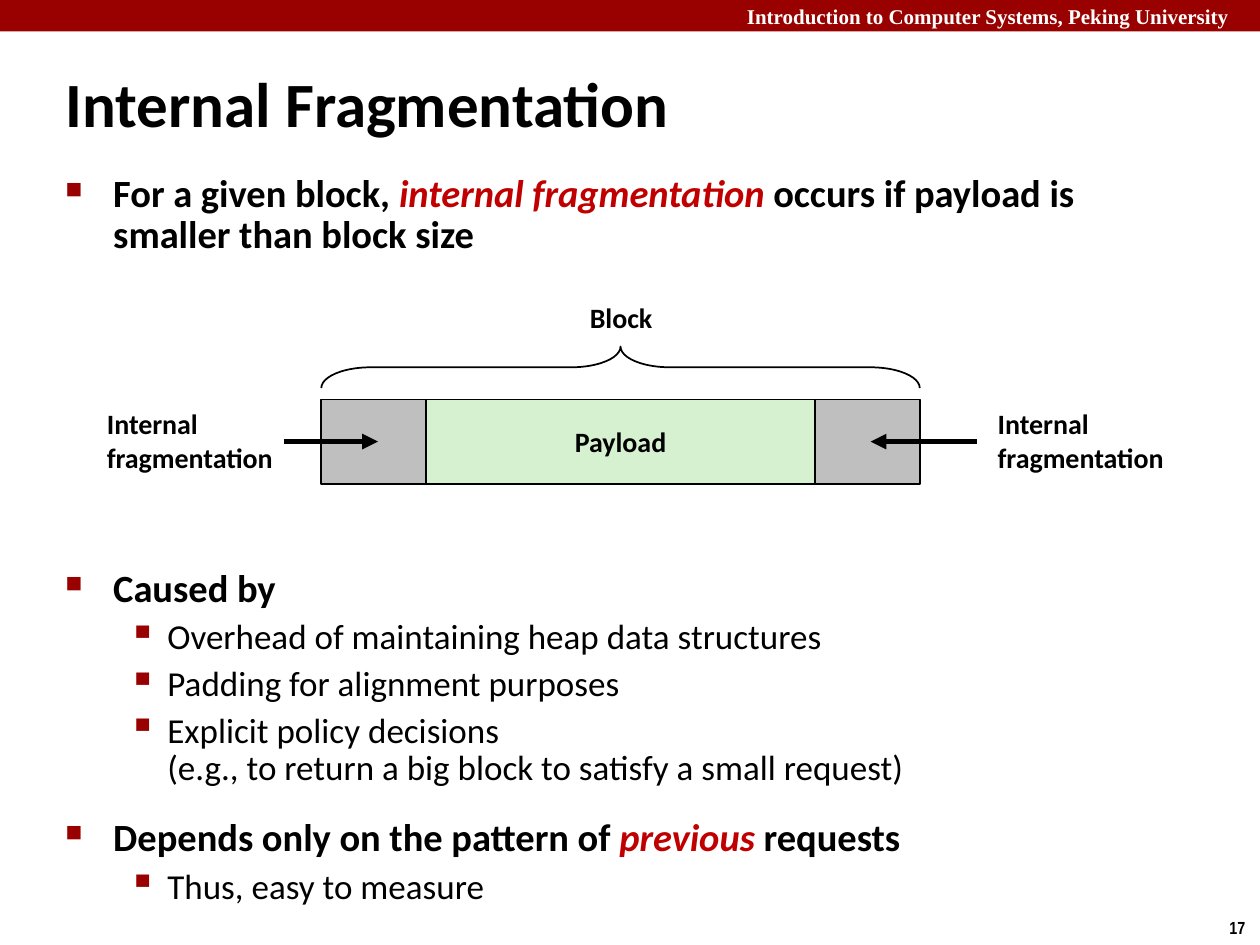
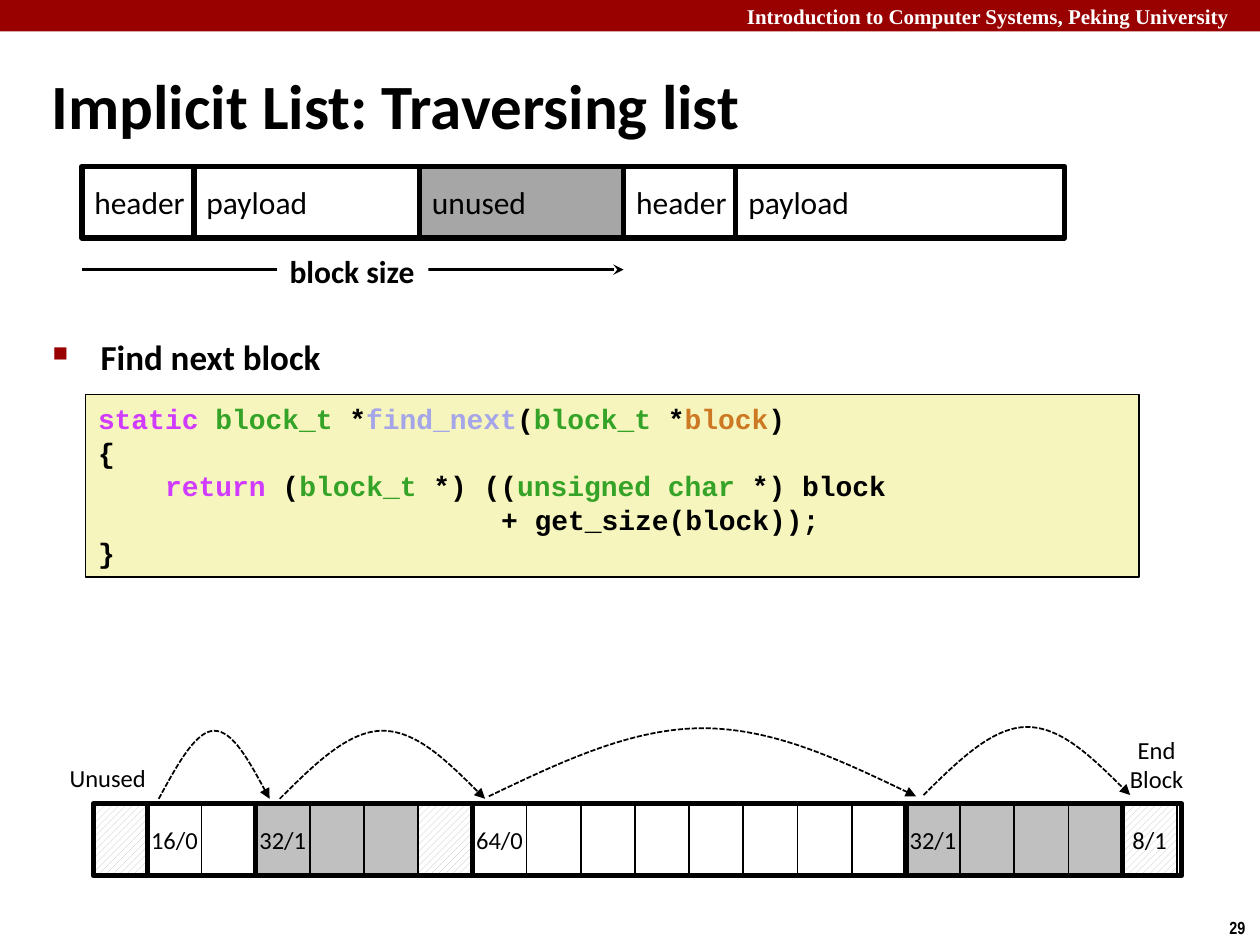
from dataclasses import dataclass

from lxml import etree
from pptx import Presentation
from pptx.dml.color import RGBColor
from pptx.enum.dml import MSO_LINE, MSO_PATTERN
from pptx.enum.shapes import MSO_CONNECTOR, MSO_SHAPE
from pptx.enum.text import MSO_ANCHOR, MSO_AUTO_SIZE, PP_ALIGN
from pptx.oxml.ns import qn
from pptx.util import Inches, Pt

LEFT, CENTER = PP_ALIGN.LEFT, PP_ALIGN.CENTER
TOP, MIDDLE = MSO_ANCHOR.TOP, MSO_ANCHOR.MIDDLE
RECTANGLE, BRACE = MSO_SHAPE.RECTANGLE, MSO_SHAPE.RIGHT_BRACE
STRAIGHT = MSO_CONNECTOR.STRAIGHT
HATCH = MSO_PATTERN.WIDE_UPWARD_DIAGONAL
SHORT_DASH = MSO_LINE.SQUARE_DOT

# The slide is a grid of 100 columns and 75 rows.
COLUMNS, ROWS = 100, 75
UNIT = Inches(0.1)


@dataclass(frozen=True)
class Theme:
    body_font: str = "Calibri"
    code_font: str = "Courier New"
    band_font: str = "Times New Roman"
    number_font: str = "Arial Narrow"
    title: int = 36
    point: int = 22
    subpoint: int = 20
    field: int = 18
    label: int = 16
    cell: int = 14
    band: int = 12
    number: int = 10
    black: str = "000000"
    white: str = "FFFFFF"
    red: str = "990000"
    emphasis: str = "C00000"
    payload: str = "D5F1CF"
    padding: str = "BFBFBF"
    unused: str = "A6A6A6"
    allocated: str = "C0C0C0"
    code_paper: str = "F6F5BD"
    keyword: str = "D03BFF"
    type_name: str = "34A327"
    function: str = "A5A5E9"
    parameter: str = "CD7923"


THEME = Theme()


def grid(*lengths):
    return [round(length * UNIT) for length in lengths]


def rgb(code):
    return RGBColor.from_string(code)


def set_font(run, size, bold=False, color=THEME.black, font=THEME.body_font, italic=False):
    run.font.name, run.font.size = font, Pt(size)
    run.font.bold, run.font.italic = bold, italic
    run.font.color.rgb = rgb(color)


def write_runs(paragraph, segments, size, bold, font=THEME.body_font):
    """Segments are strings, "\\n" for a line break, or (text, color) pairs."""
    for segment in segments:
        if segment == "\n":
            paragraph.add_line_break()
            continue
        text, color = (segment, THEME.black) if isinstance(segment, str) else segment
        run = paragraph.add_run()
        run.text = text
        set_font(run, size, bold, color, font, italic=color == THEME.emphasis)


def write_lines(shape, text, size, align=LEFT, **font):
    frame = shape.text_frame
    frame.text = text
    frame.word_wrap = False
    frame.vertical_anchor = MIDDLE
    for paragraph in frame.paragraphs:
        paragraph.alignment = align
        for run in paragraph.runs:
            set_font(run, size, **font)


def add_label(slide, box, text, size, align=LEFT, **font):
    write_lines(slide.shapes.add_textbox(*grid(*box)), text, size, align, **font)


def add_box(slide, box, fill=None, line_width=1, hatched=False, kind=RECTANGLE):
    shape = slide.shapes.add_shape(kind, *grid(*box))
    shape.shadow.inherit = False
    if hatched:
        shape.fill.patterned()
        shape.fill.pattern = HATCH
        shape.fill.fore_color.rgb = rgb(THEME.allocated)
        shape.fill.back_color.rgb = rgb(THEME.white)
    elif fill:
        shape.fill.solid()
        shape.fill.fore_color.rgb = rgb(fill)
    else:
        shape.fill.background()
    if line_width:
        set_line(shape.line, line_width)
    else:
        shape.line.fill.background()
    return shape


def set_line(line, width, arrow=None, dash=None):
    line.width = Pt(width)
    line.color.rgb = rgb(THEME.black)
    if dash:
        line.dash_style = dash
    if arrow:
        etree.SubElement(line._get_or_add_ln(), qn("a:tailEnd"), type=arrow)


def add_arrow(slide, start, end, row, width, arrow="triangle"):
    """Draw a horizontal arrow from one column to another."""
    connector = slide.shapes.add_connector(STRAIGHT, *grid(start, row, end, row))
    set_line(connector.line, width, arrow)
    etree.SubElement(connector._element.spPr, qn("a:effectLst"))


def add_hop(slide, start, end, row, rise=5.4):
    """Draw a dashed arch whose control points lie at sixths of its width."""
    heights = (0.5, 1, 1, 1, 0.5, 0)
    points = [grid(start + (end - start) * step / 6, row - rise * height)
              for step, height in enumerate(heights, 1)]
    builder = slide.shapes.build_freeform(*grid(start, row))
    builder.add_line_segments(points, close=False)
    shape = builder.convert_to_shape()
    segments = list(shape._element.iter(qn("a:lnTo")))
    for first in (0, 3):
        curve = etree.Element(qn("a:cubicBezTo"))
        segments[first].addprevious(curve)
        for segment in segments[first:first + 3]:
            curve.append(segment[0])
            segment.getparent().remove(segment)
    shape.shadow.inherit = False
    shape.fill.background()
    set_line(shape.line, 1, "triangle", SHORT_DASH)


def add_bullets(slide, box, items, line_spacing):
    """Items are (level, size, points before, segments)."""
    frame = slide.shapes.add_textbox(*grid(*box)).text_frame
    frame.word_wrap = True
    frame.vertical_anchor = TOP
    styles = (("■", 60, 3.8, -3.8), ("▪", 110, 8.1, -3.1))
    for index, (level, size, before, segments) in enumerate(items):
        paragraph = frame.add_paragraph() if index else frame.paragraphs[0]
        paragraph.level = level
        paragraph.line_spacing = line_spacing
        paragraph.space_before = Pt(before)
        mark, percent, margin, indent = styles[level]
        properties = paragraph._p.get_or_add_pPr()
        set_indent(properties, margin, indent)
        color = etree.SubElement(properties, qn("a:buClr"))
        etree.SubElement(color, qn("a:srgbClr"), val=THEME.red)
        etree.SubElement(properties, qn("a:buSzPct"), val=str(percent * 1000))
        etree.SubElement(properties, qn("a:buChar"), char=mark)
        write_runs(paragraph, segments, size, bold=level == 0)


def set_indent(properties, margin, indent=0):
    left, first = grid(margin, indent)
    properties.set("marL", str(left))
    properties.set("indent", str(first))


def add_code(slide, box, lines):
    """Lines are (characters of indent, segments)."""
    frame = add_box(slide, box, THEME.code_paper).text_frame
    frame.word_wrap = True
    frame.vertical_anchor = MIDDLE
    character = THEME.label * 0.6 / 7.2
    for index, (indent, segments) in enumerate(lines):
        paragraph = frame.add_paragraph() if index else frame.paragraphs[0]
        paragraph.alignment = LEFT
        paragraph.line_spacing = Pt(19.1)
        set_indent(paragraph._p.get_or_add_pPr(), indent * character)
        write_runs(paragraph, segments, THEME.label, True, THEME.code_font)


def add_slide(presentation, title, title_box, number):
    slide = presentation.slides.add_slide(presentation.slide_layouts[5])
    heading = slide.shapes.title
    heading.left, heading.top, heading.width, heading.height = grid(*title_box)
    write_lines(heading, title, THEME.title, bold=True)
    heading.text_frame.word_wrap = True
    heading.text_frame.auto_size = MSO_AUTO_SIZE.NONE
    add_box(slide, (0, 0, COLUMNS, 2.5), THEME.red, line_width=0)
    add_label(slide, (58.3, 0, 41.7, 2.5), "Introduction to Computer Systems, Peking University",
              THEME.band, bold=True, color=THEME.white, font=THEME.band_font)
    add_label(slide, (96.6, 72.3, 3.4, 2.7), number, THEME.number,
              bold=True, font=THEME.number_font)
    return slide


def add_padded_block(slide, left, top, height):
    """Draw a payload between two paddings, under a brace."""
    padding, payload = 8.3, 30.9
    width = payload + 2 * padding
    right = left + width
    middle = top + height / 2
    box = add_box(slide, (left + padding, top, payload, height), THEME.payload)
    write_lines(box, "Payload", THEME.label, CENTER, bold=True)
    for column in (left, right - padding):
        add_box(slide, (column, top, padding, height), THEME.padding)
    for column in (7.5, 78.2):
        add_label(slide, (column, 31.8, 15.3, 6.3), "Internal\nfragmentation",
                  THEME.label, bold=True)
    add_arrow(slide, left - 3, left + 4.5, middle, 3)
    add_arrow(slide, right + 4.5, right - 3.9, middle, 3)

    depth, brace_middle = 3.3, top - 2.55
    brace = add_box(slide, (left + (width - depth) / 2, brace_middle - width / 2, depth, width),
                    kind=BRACE)
    brace.rotation = 270
    brace.adjustments[0], brace.adjustments[1] = 1.19, 0.5
    add_label(slide, (45.8, 23.3, 7, 3.7), "Block", THEME.label, CENTER, bold=True)


def add_block_fields(slide, left, top, height):
    fields = (("header", 8.9, None), ("payload", 17.9, None), ("unused", 16.2, THEME.unused),
              ("header", 8.9, None), ("payload", 26.1, None))
    column = left
    for name, width, fill in fields:
        box = add_box(slide, (column, top, width, height), fill, line_width=3)
        write_lines(box, name, THEME.field)
        column += width
    add_arrow(slide, left, left + 43, top + 8.2, 2, "stealth")
    size_label = add_box(slide, (22, 19.5, 12, 4), THEME.white, line_width=0)
    write_lines(size_label, "block size", THEME.field, bold=True)


def add_heap(slide, left, top, height):
    cell = 4.3
    # Label, number of cells, fill, and whether the last cell is hatched
    blocks = (("", 1, THEME.white, True), ("16/0", 2, THEME.white, False),
              ("32/1", 4, THEME.allocated, True), ("64/0", 8, THEME.white, False),
              ("32/1", 4, THEME.allocated, False), ("8/1", 1, THEME.white, True))
    outlines = []
    column = left
    for label, count, fill, hatched in blocks:
        for index in range(count):
            box = add_box(slide, (column + index * cell, top, cell, height), fill,
                          hatched=hatched and index == count - 1)
            if label and index == 0:
                write_lines(box, label, THEME.cell, CENTER)
        outlines.append((column, top, count * cell, height))
        column += count * cell
    outlines[-1] = (column - cell, top, cell + 0.4, height)
    for outline in outlines:
        add_box(slide, outline, line_width=3)
    for start, end, row in ((12.6, 21.4, 63.4), (22.2, 38.5, 63.4),
                            (38.8, 72.7, 63.2), (73.3, 89.7, 63.1)):
        add_hop(slide, start, end, row)
    add_label(slide, (4.5, 60, 8.1, 3.4), "Unused", THEME.cell, CENTER)
    add_label(slide, (88.6, 57.8, 6.4, 5.7), "End\nBlock", THEME.cell, CENTER)


def build_fragmentation(presentation):
    slide = add_slide(presentation, "Internal Fragmentation", (4.2, 5, 73.6, 6.3), "17")
    point, subpoint, gap = THEME.point, THEME.subpoint, 5.6
    diagram_gap = 179
    add_bullets(slide, (4.2, 13.4, 90.9, 59.1), [
        (0, point, gap, ["For a given block, ", ("internal fragmentation ", THEME.emphasis),
                         "occurs if payload is smaller than block size"]),
        (0, point, diagram_gap, ["Caused by"]),
        (1, subpoint, gap, ["Overhead of maintaining heap data structures"]),
        (1, subpoint, gap, ["Padding for alignment purposes"]),
        (1, subpoint, gap, ["Explicit policy decisions ", "\n",
                            "(e.g., to return a big block to satisfy a small request)"]),
        (0, point, 18, ["Depends only on the pattern of ", ("previous", THEME.emphasis),
                        " requests"]),
        (1, subpoint, gap, ["Thus, easy to measure"]),
    ], line_spacing=0.88)
    add_padded_block(slide, left=25.5, top=31.7, height=6.7)


def build_traversal(presentation):
    slide = add_slide(presentation, "Implicit List: Traversing list", (3.1, 5.1, 87.5, 6.3), "29")
    add_block_fields(slide, left=6.5, top=13.2, height=5.7)
    add_bullets(slide, (3.2, 26.7, 90.9, 4.5),
                [(0, THEME.subpoint, 12.5, ["Find next block"])], line_spacing=0.83)
    block_type = ("block_t", THEME.type_name)
    add_code(slide, (6.8, 31.3, 83.6, 14.5), [
        (0, [("static ", THEME.keyword), block_type, " *", ("find_next", THEME.function), "(",
             block_type, " *", ("block", THEME.parameter), ")"]),
        (0, ["{"]),
        (4, [("return", THEME.keyword), " (", block_type, " *) ((",
             ("unsigned char", THEME.type_name), " *) block"]),
        (24, ["+ get_size(block));"]),
        (0, ["}"]),
    ])
    add_heap(slide, left=7.4, top=63.8, height=5.7)


def main():
    presentation = Presentation()
    presentation.slide_width, presentation.slide_height = grid(COLUMNS, ROWS)
    build_fragmentation(presentation)
    build_traversal(presentation)
    presentation.save("out.pptx")


if __name__ == "__main__":
    main()
